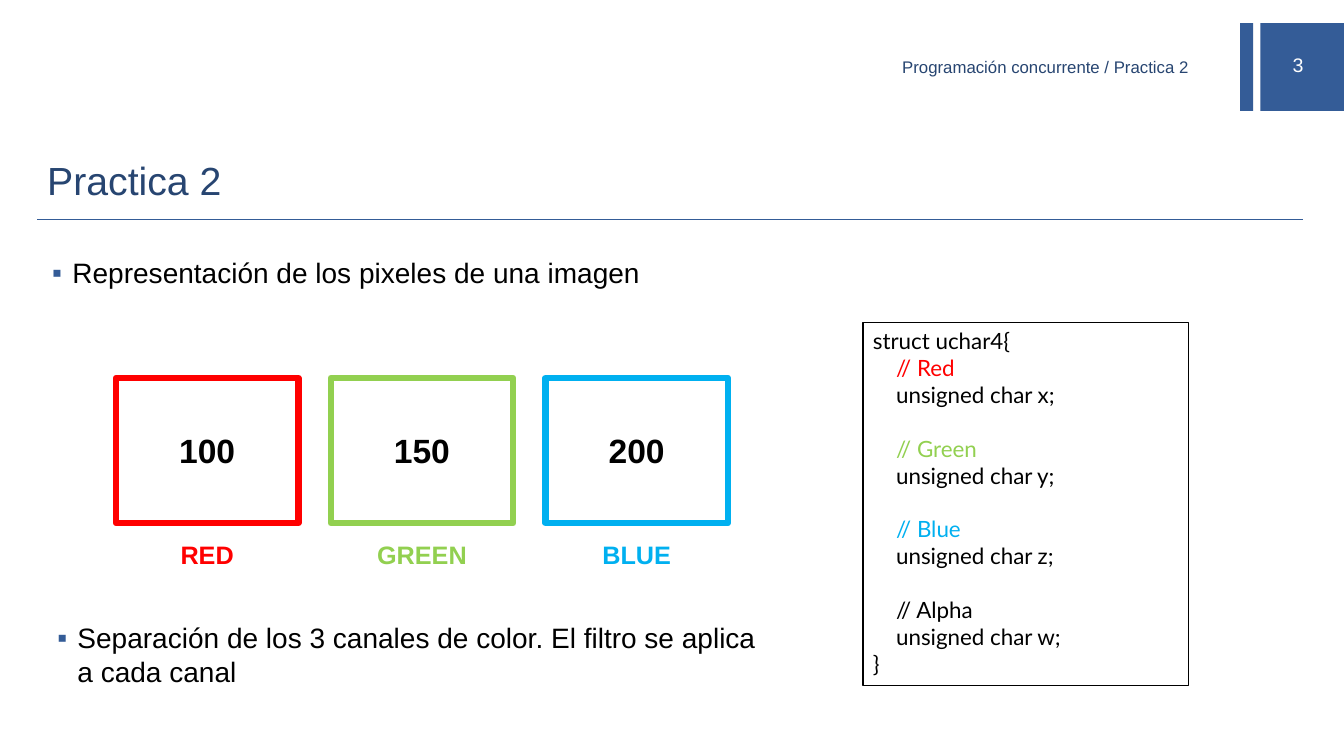
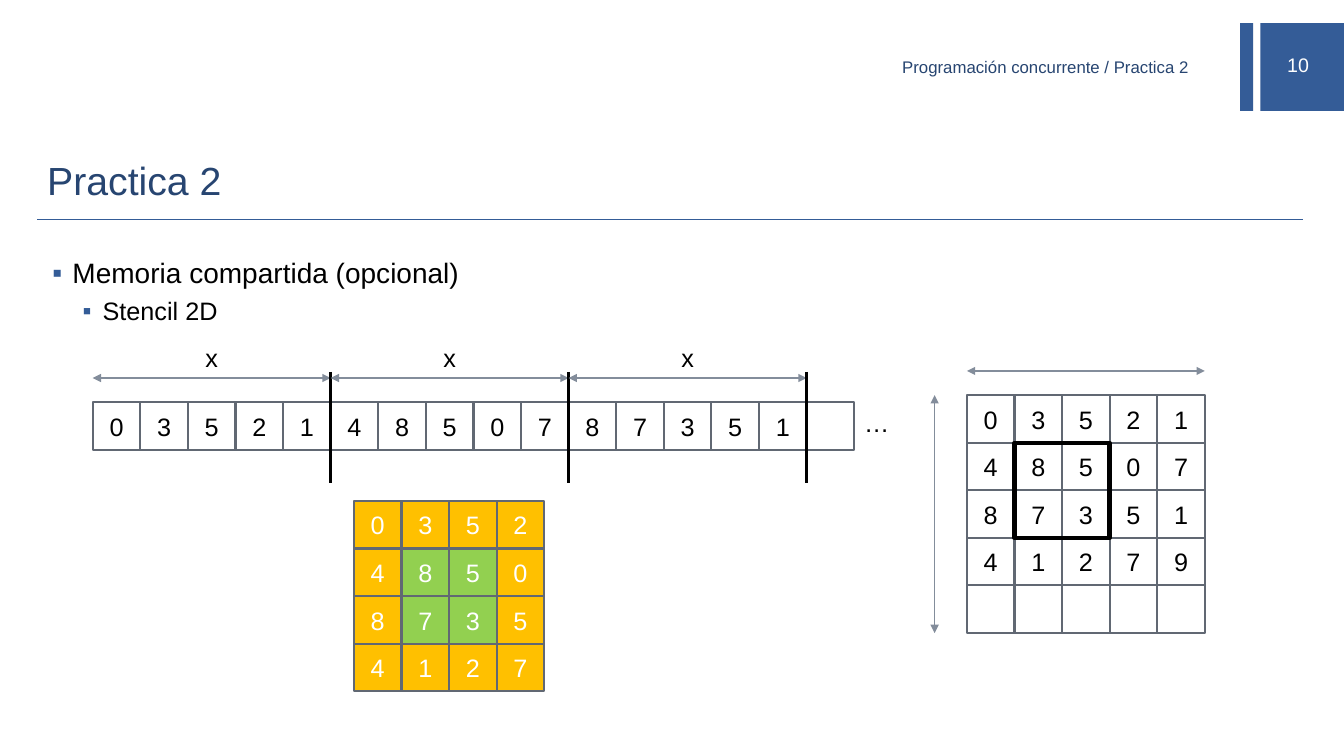
from lxml import etree
from pptx import Presentation
from pptx.dml.color import RGBColor
from pptx.enum.shapes import MSO_CONNECTOR, MSO_SHAPE
from pptx.enum.text import MSO_ANCHOR, PP_ALIGN
from pptx.oxml.ns import qn
from pptx.util import Inches, Pt

RECT, STRAIGHT = MSO_SHAPE.RECTANGLE, MSO_CONNECTOR.STRAIGHT
TOP, MIDDLE = MSO_ANCHOR.TOP, MSO_ANCHOR.MIDDLE
LEFT, CENTER, RIGHT = PP_ALIGN.LEFT, PP_ALIGN.CENTER, PP_ALIGN.RIGHT


class Theme:
    font, code_font = "Arial", "Lato"
    blue, navy = "345C97", "274571"
    black, white = "000000", "FFFFFF"
    red, green, sky, amber = "FF0000", "92D050", "00B0F0", "FFC000"
    cell_line, arrow = "616873", "838D9B"
    title, value, body, text, code, number, header = 28, 24, 20, 18, 16, 14, 12


def box(s, at, paras=(), fill=None, line=None, width=1.5, anchor=MIDDLE, align=CENTER):
    """Add a rectangle, or a text box when it has neither fill nor line."""
    at = [Inches(v) for v in at]
    if fill or line:
        sp = s.shapes.add_shape(RECT, *at)
        sp.shadow.inherit = False
        if fill:
            sp.fill.solid()
            sp.fill.fore_color.rgb = RGBColor.from_string(fill)
        else:
            sp.fill.background()
        if line:
            sp.line.color.rgb = RGBColor.from_string(line)
            sp.line.width = Pt(width)
            etree.SubElement(sp.line._get_or_add_ln(), qn("a:round"))
        else:
            sp.line.fill.background()
    else:
        sp = s.shapes.add_textbox(*at)
    tf = sp.text_frame
    tf.word_wrap = True
    tf.vertical_anchor = anchor
    for i, para in enumerate(paras):
        p = tf.add_paragraph() if i else tf.paragraphs[0]
        p.alignment = align
        p.space_before = Pt(para.get("before", 0))
        pPr = p._p.get_or_add_pPr()
        pPr.set("marL", str(Inches(para.get("indent", 0))))
        if para.get("bullet"):
            pPr.set("indent", str(Inches(-0.2)))
            color = etree.SubElement(pPr, qn("a:buClr"))
            etree.SubElement(color, qn("a:srgbClr"), val=Theme.blue)
            etree.SubElement(pPr, qn("a:buFont"), typeface=Theme.font)
            etree.SubElement(pPr, qn("a:buChar"), char="▪")
        r = p.add_run()
        r.text = para["text"]
        r.font.name = para.get("font", Theme.font)
        r.font.size = Pt(para.get("size", Theme.text))
        r.font.bold = para.get("bold", False)
        r.font.color.rgb = RGBColor.from_string(para.get("color", Theme.black))
    return sp


def rule(s, x1, y1, x2, y2, color, width=1, arrows=False):
    """Add a straight line, with an arrowhead at both ends if asked."""
    sp = s.shapes.add_connector(STRAIGHT, *[Inches(v) for v in (x1, y1, x2, y2)])
    sp.line.color.rgb = RGBColor.from_string(color)
    sp.line.width = Pt(width)
    if arrows:
        for end in ("a:headEnd", "a:tailEnd"):
            etree.SubElement(sp.line._get_or_add_ln(), qn(end), type="triangle")
    etree.SubElement(sp._element.spPr, qn("a:effectLst"))


prs = Presentation()
prs.slide_width, prs.slide_height = Inches(13.33), Inches(7.5)

# Shared frame: bands, page number, header, title and rule
slides = []
for page in ("3", "10"):
    s = prs.slides.add_slide(prs.slide_layouts[6])
    slides.append(s)
    box(s, (12.3, 0.23, 0.13, 0.87), fill=Theme.blue)
    box(s, (12.5, 0.23, 0.84, 0.87), fill=Theme.blue)
    box(s, (12.44, 0.44, 0.87, 0.4),
        [dict(text=page, size=Theme.number, color=Theme.white)])
    rule(s, 0.37, 2.18, 12.92, 2.18, Theme.blue)
    sp = box(s, (6.64, 0.52, 5.25, 0.33),
             [dict(text="Programación concurrente / Practica 2",
                   size=Theme.header, color=Theme.navy)], align=RIGHT)
    sp.text_frame.margin_top = 0
    box(s, (0.37, 1.39, 12.55, 0.79),
        [dict(text="Practica 2", size=Theme.title, color=Theme.navy)], align=LEFT)
pixels, memory = slides

# Bullets
bullet = dict(bullet=True, indent=0.25, size=Theme.body, before=4)
sub_bullet = dict(bullet, indent=0.55, size=Theme.text)
for s, at, paras in (
    (pixels, (0.37, 2.49, 7.24, 0.71),
     [dict(bullet, text="Representación de los pixeles de una imagen")]),
    (pixels, (0.42, 6.11, 7.24, 0.71),
     [dict(bullet, text="Separación de los 3 canales de color. "
                        "El filtro se aplica a cada canal")]),
    (memory, (0.37, 2.49, 12.55, 4.41),
     [dict(bullet, text="Memoria compartida (opcional)"),
      dict(sub_bullet, text="Stencil 2D")]),
):
    box(s, at, paras, anchor=TOP, align=LEFT)

# Colour channels
channels = (("100", "RED", Theme.red), ("150", "GREEN", Theme.green),
            ("200", "BLUE", Theme.sky))
for i, (value, name, color) in enumerate(channels):
    x = 1.15 + 2.13 * i
    box(pixels, (x, 3.75, 1.81, 1.44),
        [dict(text=value, size=Theme.value, bold=True)], line=color, width=4.5)
    box(pixels, (x, 5.3, 1.81, 0.4),
        [dict(text=name, color=color, bold=True)], anchor=TOP)

# Pixel structure: each member is a comment line and a declaration
code = dict(font=Theme.code_font, size=Theme.code)
listing = [dict(code, text="struct uchar4{")]
members = (("Red", "x", Theme.red), ("Green", "y", Theme.green),
           ("Blue", "z", Theme.sky), ("Alpha", "w", Theme.black))
for i, (name, field, color) in enumerate(members):
    listing.append(dict(code, text=f"// {name}", color=color, indent=0.23,
                        before=19.2 if i else 0))
    listing.append(dict(code, text=f"unsigned char {field};", indent=0.23))
listing.append(dict(code, text="}"))
box(pixels, (8.56, 3.2, 3.23, 3.6), listing, line=Theme.black, width=0.75,
    anchor=TOP, align=LEFT)

# Cells of the linear array, the matrix and the stencil tile
SPAN = 2.36
CELL = SPAN / 5
ARRAY_X, ARRAY_Y = 0.92, 3.99
MATRIX_X, MATRIX_Y = 9.59, 3.92
TILE_X, TILE_Y = 3.51, 4.97
matrix = ["03521", "48507", "87351", "41279", "     "]
cells = [(ARRAY_X + CELL * i, ARRAY_Y, v, None)
         for i, v in enumerate("".join(matrix[:3]) + " ")]
for row, values in enumerate(matrix):
    for col, v in enumerate(values):
        cells.append((MATRIX_X + CELL * col, MATRIX_Y + CELL * row, v, None))
        if row < 4 and col < 4:
            inner = row in (1, 2) and col in (1, 2)
            cells.append((TILE_X + CELL * col, TILE_Y + CELL * row, v,
                          Theme.green if inner else Theme.amber))
for x, y, v, fill in cells:
    color = Theme.white if fill else Theme.black
    paras = [dict(text=v, color=color)] if v.strip() else []
    box(memory, (x, y, CELL, CELL), paras, fill=fill, line=Theme.cell_line)

# Array rows: width arrow, label and divider
for i in range(3):
    x = ARRAY_X + SPAN * i
    rule(memory, x, 3.75, x + SPAN, 3.75, Theme.arrow, arrows=True)
    box(memory, (x, 3.35, SPAN, 0.4), [dict(text="x")], anchor=TOP)
    rule(memory, x + SPAN, 3.69, x + SPAN, 4.79, Theme.black, 2.25)
box(memory, (8.47, 3.99, 0.45, 0.4), [dict(text="…")], anchor=TOP)

# Matrix dimensions and highlighted block
rule(memory, MATRIX_X, 3.68, MATRIX_X + SPAN, 3.68, Theme.arrow, arrows=True)
rule(memory, 9.27, MATRIX_Y, 9.27, MATRIX_Y + SPAN, Theme.arrow, arrows=True)
box(memory, (MATRIX_X + CELL, MATRIX_Y + CELL, 2 * CELL, 2 * CELL),
    line=Theme.black, width=3)

prs.save("out.pptx")
